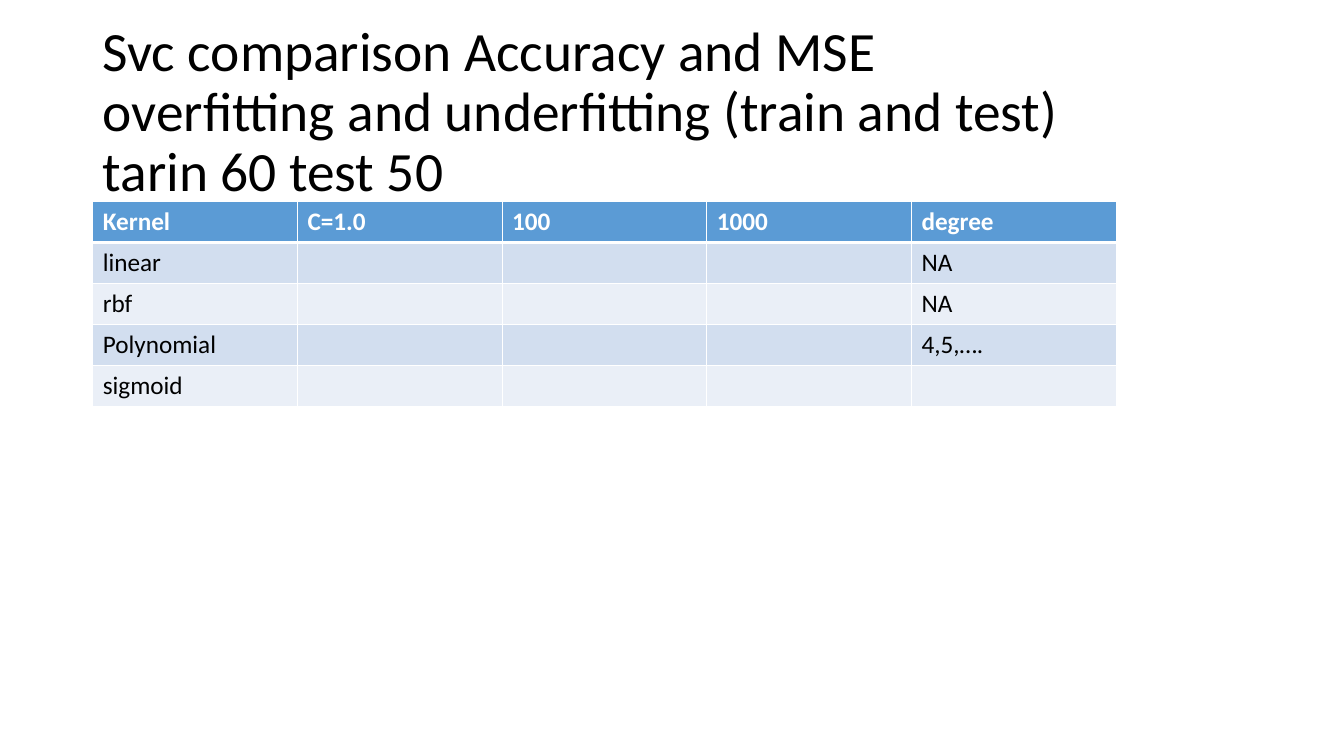
from lxml.etree import SubElement
from pptx import Presentation
from pptx.dml.color import RGBColor
from pptx.enum.text import MSO_ANCHOR
from pptx.oxml.ns import qn
from pptx.util import Inches, Pt

BLACK = RGBColor(0x00, 0x00, 0x00)
WHITE = RGBColor(0xFF, 0xFF, 0xFF)
HEADER_BLUE = RGBColor(0x5B, 0x9B, 0xD5)
BAND_DARK = RGBColor(0xD2, 0xDE, 0xEF)
BAND_LIGHT = RGBColor(0xEA, 0xEF, 0xF7)

TITLE = (
    "Svc comparison Accuracy and MSE\n"
    "overfitting and underfitting (train and test)\n"
    "tarin 60 test 50"
)
KERNEL_ROWS = [
    ["Kernel", "C=1.0", "100", "1000", "degree"],
    ["linear", "", "", "", "NA"],
    ["rbf", "", "", "", "NA"],
    ["Polynomial", "", "", "", "4,5,…."],
    ["sigmoid", "", "", "", ""],
]


def write(para, text, size, color, bold=False):
    para.text = text
    for span in para.runs:
        for name, value in {"name": "Calibri", "size": Pt(size), "bold": bold}.items():
            setattr(span.font, name, value)
        span.font.color.rgb = color


def add_border(cell, side, width):
    line = SubElement(cell._tc.get_or_add_tcPr(), qn(f"a:{side}"), w=str(Pt(width)))
    fill = SubElement(line, qn("a:solidFill"))
    SubElement(fill, qn("a:srgbClr"), val=str(WHITE))


deck = Presentation()
deck.slide_width, deck.slide_height = Inches(13.33), Inches(7.5)
page = deck.slides.add_slide(deck.slide_layouts[6])

# Title
box = page.shapes.add_textbox(Inches(0.92), Inches(0.4), Inches(11.5), Inches(1.45))
box.text_frame.word_wrap = True
box.text_frame.vertical_anchor = MSO_ANCHOR.MIDDLE
title = box.text_frame.paragraphs[0]
title.line_spacing = 0.9
write(title, TITLE.replace("\n", "\v"), 39.6, BLACK)

# Kernel table
table = page.shapes.add_table(
    len(KERNEL_ROWS), len(KERNEL_ROWS[0]),
    Inches(0.92), Inches(2), Inches(10.15), Inches(2.03),
).table
for r, values in enumerate(KERNEL_ROWS):
    is_header = r == 0
    for c, value in enumerate(values):
        cell = table.cell(r, c)
        # Borders: a thick rule divides the header from the body
        for side in ("lnL", "lnR", "lnT", "lnB"):
            thick = (r, side) in ((0, "lnB"), (1, "lnT"))
            add_border(cell, side, 3 if thick else 1)
        # Header fill, then alternating bands
        cell.fill.solid()
        band = BAND_DARK if r % 2 else BAND_LIGHT
        cell.fill.fore_color.rgb = HEADER_BLUE if is_header else band
        if value:
            para = cell.text_frame.paragraphs[0]
            write(para, value, 18, WHITE if is_header else BLACK, is_header)

deck.save("out.pptx")
